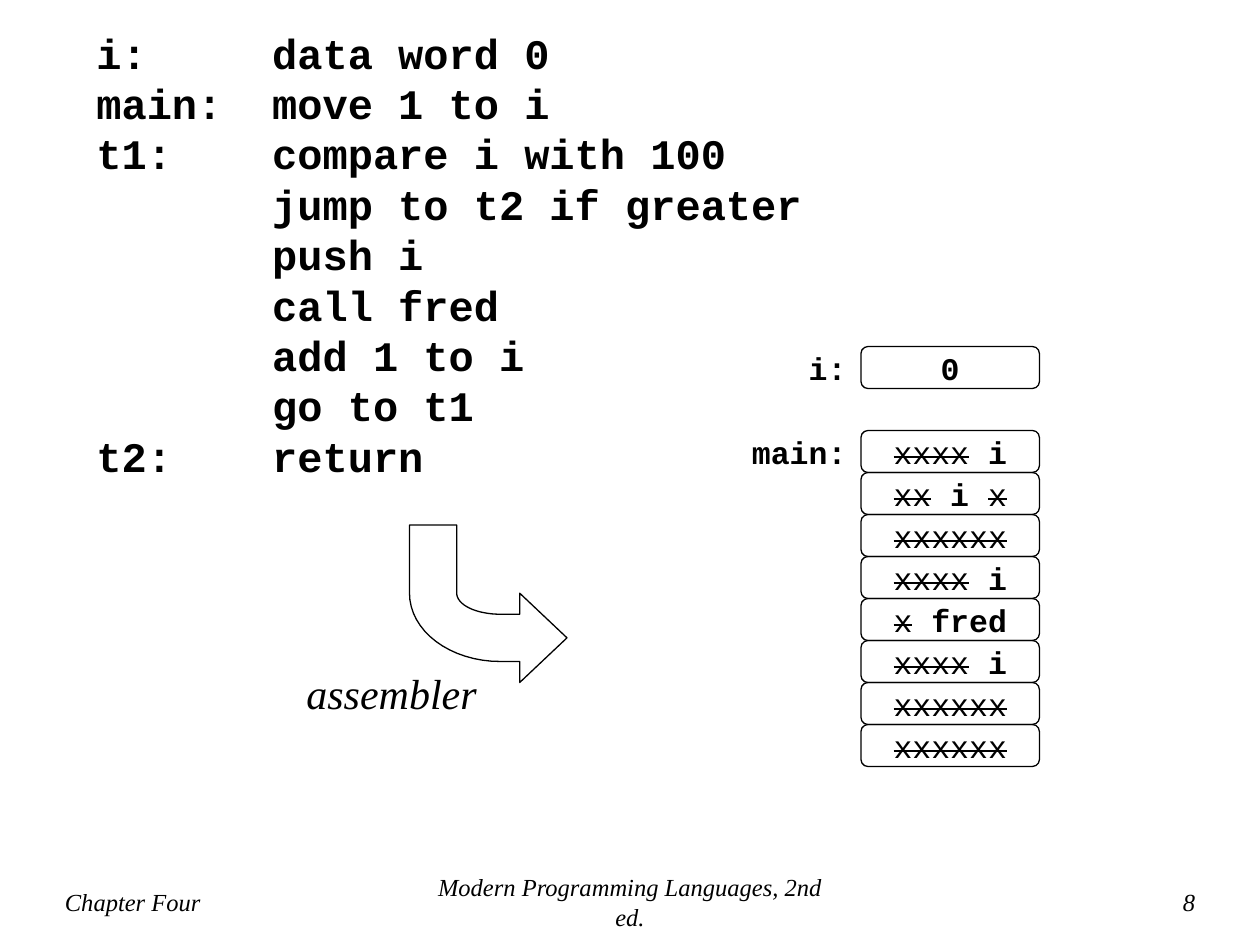
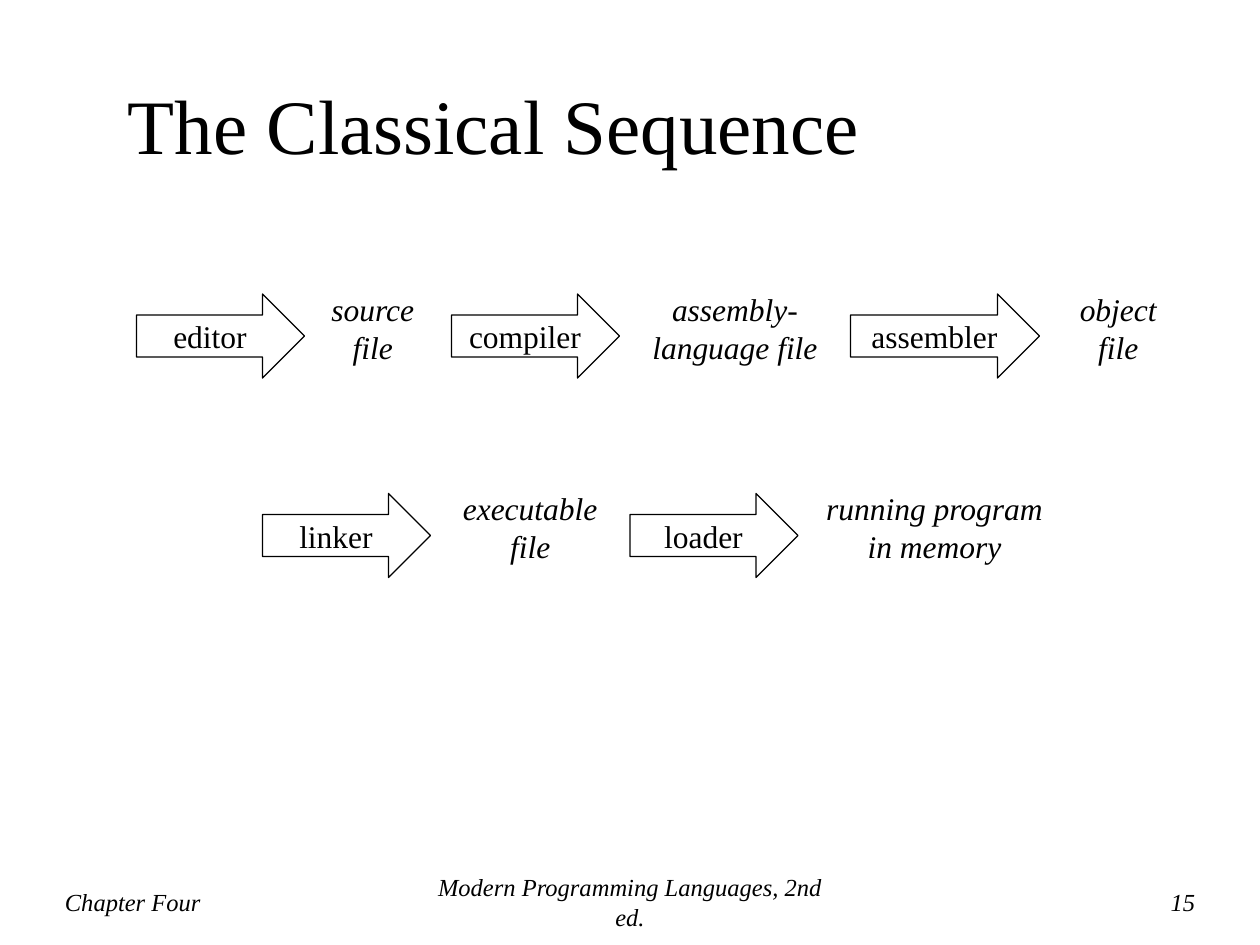
"""Build two slides on the assembler step and the classical language-system sequence."""
from dataclasses import dataclass
from itertools import groupby
from math import cos, pi, sin

from lxml import etree
from pptx import Presentation
from pptx import util as u
from pptx.dml import color
from pptx.enum import shapes, text as t
from pptx.oxml import ns

PX = 9525


@dataclass(frozen=True)
class Theme:
    ink: color.RGBColor = color.RGBColor(0, 0, 0)
    serif: str = "Times New Roman"
    mono: str = "Courier New"
    title: int = 44
    large: int = 24
    body: int = 18
    footer: int = 14
    line: float = 0.75


theme = Theme()
LEFT, CENTER, RIGHT = t.PP_ALIGN.LEFT, t.PP_ALIGN.CENTER, t.PP_ALIGN.RIGHT


def outline(shape, visible=True):
    shape.shadow.inherit = False
    shape.fill.background()
    if visible:
        shape.line.color.rgb = theme.ink
        shape.line.width = u.Pt(theme.line)
    else:
        shape.line.fill.background()


def write(page, box, text, kind=None, line=True, font=theme.serif, size=theme.body,
          bold=False, italic=False, align=LEFT, middle=False, wrap=True,
          before=0, spacing=None, tab=None, strike_x=False):
    area = [PX * length for length in box]
    if kind is None:
        shape = page.shapes.add_textbox(*area)
    else:
        shape = page.shapes.add_shape(kind, *area)
        outline(shape, line)
    frame = shape.text_frame
    frame.word_wrap = wrap
    frame.vertical_anchor = t.MSO_ANCHOR.MIDDLE if middle else t.MSO_ANCHOR.TOP
    for index, content in enumerate(text.split("\n")):
        para = frame.add_paragraph() if index else frame.paragraphs[0]
        para.alignment = align
        para.space_before = u.Pt(0 if index else before)
        if spacing:
            para.line_spacing = u.Pt(spacing)
        if tab:
            stops = etree.SubElement(para._p.get_or_add_pPr(), ns.qn("a:tabLst"))
            etree.SubElement(stops, ns.qn("a:tab"), pos=str(PX * tab), algn="l")
        for struck, letters in groupby(content, lambda letter: strike_x and letter == "x"):
            span = para.add_run()
            span.text = "".join(letters)
            span.font.name = font
            span.font.size = u.Pt(size)
            span.font.bold = bold and not struck
            span.font.italic = italic
            span.font.color.rgb = theme.ink
            if struck:
                span._r.get_or_add_rPr().set("strike", "sngStrike")


deck = Presentation()
deck.slide_width, deck.slide_height = 960 * PX, 720 * PX
pages = []
for number in ("8", "15"):
    page = deck.slides.add_slide(deck.slide_layouts[6])
    pages.append(page)
    for left, width, label, align in (
        (40, 216, "Chapter Four", LEFT),
        (320, 320, "Modern Programming Languages, 2nd ed.", CENTER),
        (720, 200, number, RIGHT),
    ):
        write(page, (left, 663, width, 48), label, size=theme.footer, italic=True,
              align=align, middle=True, wrap=False)
assembly_page, sequence_page = pages

listing = """i:\tdata word 0
main:\tmove 1 to i
t1:\tcompare i with 100
\tjump to t2 if greater
\tpush i
\tcall fred
\tadd 1 to i
\tgo to t1
t2:\treturn"""
write(assembly_page, (64, 16, 576, 354), listing, font=theme.mono, size=theme.large,
      bold=True, before=3, spacing=28.8, tab=134)

quarter = [step * pi / 32 for step in range(17)]
outer_bend = [(381 - 69 * sin(angle), 452 + 52 * cos(angle)) for angle in quarter]
inner_bend = [(381 - 33 * cos(angle), 452 + 16 * sin(angle)) for angle in quarter]
bent_arrow = [(432, 486), (396, 520), (396, 504), *outer_bend,
              (312, 400), (348, 400), *inner_bend, (396, 468), (396, 452)]
corners = [(x * PX, y * PX) for x, y in bent_arrow]
builder = assembly_page.shapes.build_freeform(*corners[0])
builder.add_line_segments(corners[1:], close=True)
outline(builder.convert_to_shape())
write(assembly_page, (224, 504, 184, 48), "assembler", size=theme.large, italic=True, before=3)

ROW = 32
main_top = 328
data_top = main_top - 2 * ROW
instructions = ("xxxx i", "xx i x", "xxxxxx", "xxxx i", "x fred", "xxxx i", "xxxxxx", "xxxxxx")
cells = [(data_top, "0")]
cells += [(main_top + index * ROW, word) for index, word in enumerate(instructions)]
cell_style = dict(kind=shapes.MSO_SHAPE.ROUNDED_RECTANGLE, font=theme.mono, bold=True, middle=True)
for top, word in cells:
    write(assembly_page, (656, top, 136, ROW), word, align=CENTER, strike_x=True, **cell_style)
for top, label in ((data_top, "i:"), (main_top, "main:")):
    write(assembly_page, (520, top, 136, ROW), label, line=False, align=RIGHT, **cell_style)

write(sequence_page, (88, 36, 816, 116), "The Classical Sequence", size=theme.title, middle=True)
sequence = (
    (224, (
        (104, 128, "editor", 224, 120, "source\nfile"),
        (344, 128, "compiler", 480, 160, "assembly-\nlanguage file"),
        (648, 144, "assembler", 792, 120, "object\nfile"),
    )),
    (376, (
        (200, 128, "linker", 336, 136, "executable\nfile"),
        (480, 128, "loader", 608, 208, "running program\nin memory"),
    )),
)
for top, steps in sequence:
    for arrow_left, arrow_width, tool, result_left, result_width, result in steps:
        write(sequence_page, (arrow_left, top, arrow_width, 64), tool,
              kind=shapes.MSO_SHAPE.RIGHT_ARROW, align=CENTER, middle=True)
        write(sequence_page, (result_left, top - 8, result_width, 68), result,
              italic=True, align=CENTER)

deck.save("out.pptx")
